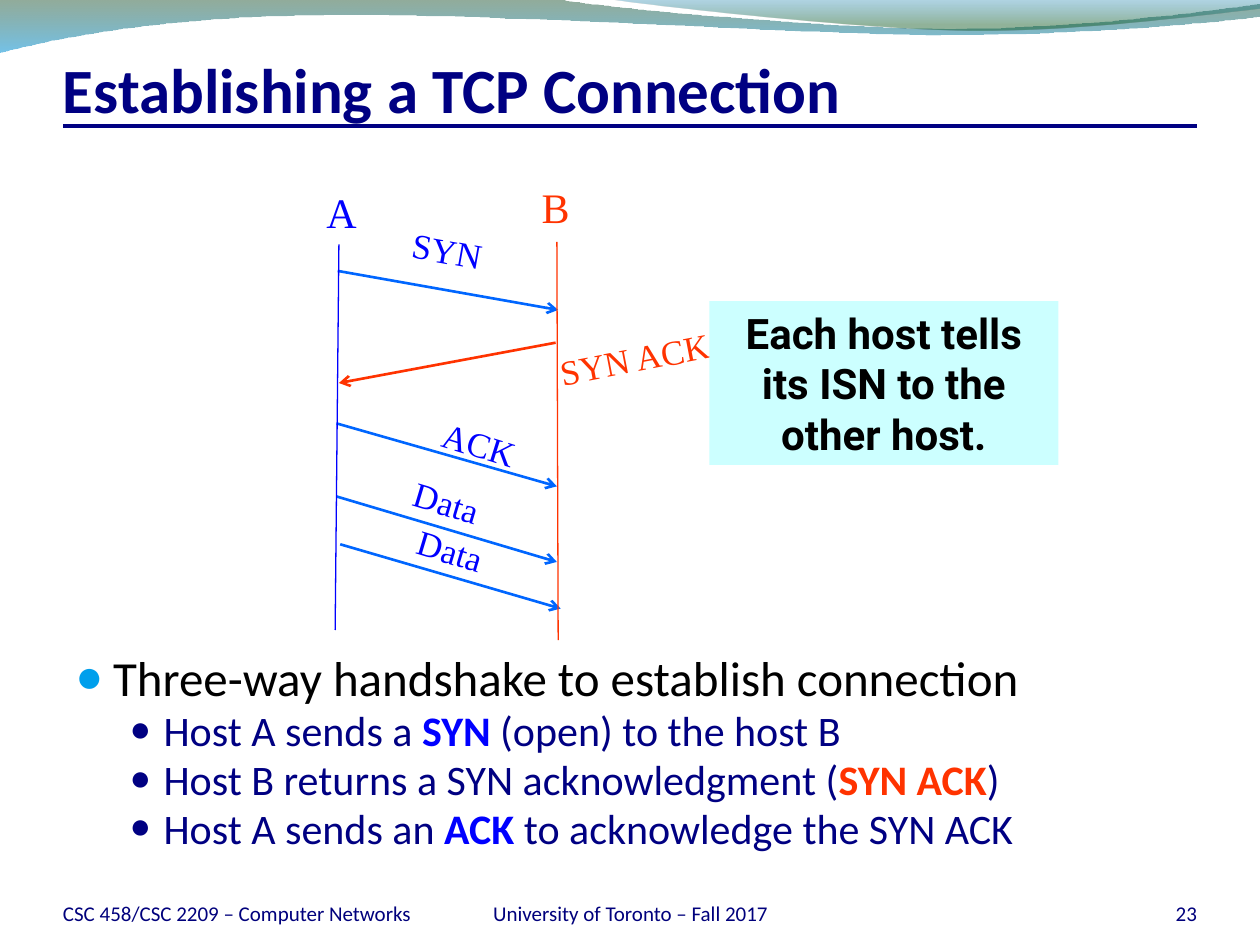
from dataclasses import dataclass

from pptx import Presentation
from pptx.dml.color import RGBColor
from pptx.enum.shapes import MSO_CONNECTOR, MSO_SHAPE
from pptx.enum.text import MSO_ANCHOR, PP_ALIGN
from pptx.oxml import parse_xml
from pptx.oxml.ns import nsdecls, qn
from pptx.util import Inches, Pt

STRAIGHT = MSO_CONNECTOR.STRAIGHT
RECTANGLE = MSO_SHAPE.RECTANGLE
LEFT, CENTER, RIGHT = PP_ALIGN.LEFT, PP_ALIGN.CENTER, PP_ALIGN.RIGHT
TOP, MIDDLE, BOTTOM = MSO_ANCHOR.TOP, MSO_ANCHOR.MIDDLE, MSO_ANCHOR.BOTTOM

SANS, SERIF, CALLOUT_FONT = "Calibri", "Times New Roman", "Roboto"
COLORS = {
    "navy": "000082", "footer": "00007C", "black": "000000",
    "host_a": "0000FF", "host_b": "FF3300", "message": "0066FF",
    "bullet": "009FEC", "callout": "CCFFFF",
    "wave_green": "0F461E", "wave_sky": "0090D6",
    "wave_blue": "0076AF", "wave_leaf": "0D5821",
}
DEFAULT_INSETS = (0.1, 0.05, 0.1, 0.05)


@dataclass
class Wave:
    """Outline steps hold one point for a line, three for a Bezier curve."""
    start: tuple
    steps: list
    stops: list  # (position %, colour, opacity %)


@dataclass
class Line:
    start: tuple
    end: tuple
    color: str
    width: float
    arrow: bool = False


@dataclass
class Label:
    text: str
    box: tuple
    color: str
    size: int
    font: str = SANS
    bold: bool = False
    align: PP_ALIGN = CENTER
    anchor: MSO_ANCHOR = MIDDLE
    insets: tuple = DEFAULT_INSETS
    rotation: float = 0
    wrap: bool = False


@dataclass
class BulletStyle:
    level: int
    size: int
    color: str
    bullet_color: str
    bullet_percent: int
    margin: float
    hanging: float


WAVES = [
    Wave((0, -0.01), [
        [(4.4, -0.01)],
        [(4.76, 0.06), (6.64, 0.23), (7.58, 0.23)],
        [(8.53, 0.23), (9.58, 0.09), (10, 0.03)],
        [(10.01, 0.13)],
        [(9.83, 0.16), (8.7, 0.28), (7.46, 0.28)],
        [(6.22, 0.27), (3.82, 0.1), (2.57, 0.12)],
        [(1.29, 0.13), (0.46, 0.3), (-0.01, 0.42)],
        [(0, -0.01)],
    ], [(0, "wave_green", 45), (100, "wave_sky", 55)]),
    Wave((4.79, -0.01), [
        [(5.09, 0.04), (6.82, 0.23), (7.69, 0.24)],
        [(8.56, 0.25), (9.61, 0.11), (10, 0.07)],
        [(10, -0.01)],
        [(4.79, -0.01)],
    ], [(0, "wave_blue", 30), (80, "wave_leaf", 45)]),
]

LINES = [
    Line((0.5, 1), (9.5, 1), "navy", 2.25),
    Line((2.68, 2.15), (4.43, 2.46), "message", 1.5, True),
    Line((4.41, 2.72), (2.69, 3.04), "host_b", 1.5, True),
    Line((2.67, 3.36), (4.42, 3.86), "message", 1.5, True),
    Line((2.67, 3.94), (4.42, 4.46), "message", 1.5, True),
    Line((2.7, 4.32), (4.45, 4.83), "message", 1.5, True),
    Line((4.42, 1.92), (4.43, 5.08), "host_b", 0.75),
    Line((2.69, 1.94), (2.66, 5), "host_a", 0.75),
]

FOOTERS = [
    ("CSC 458/CSC 2209 – Computer Networks", 0.5, 2.83, LEFT),
    ("University of Toronto – Fall 2017", 3.42, 3.17, CENTER),
    ("23", 8.67, 0.83, RIGHT),
]
LABELS = [
    Label("Establishing a TCP Connection", (0.5, 0.33, 9, 0.67), "navy", 36, bold=True,
          align=LEFT, anchor=BOTTOM, insets=(0, 0.05, 0, 0), wrap=True),
    Label("A", (2.49, 1.43, 0.44, 0.5), "host_a", 24, SERIF),
    Label("B", (4.2, 1.39, 0.42, 0.5), "host_b", 24, SERIF),
    Label("SYN", (3.17, 1.77, 0.76, 0.43), "host_a", 20, SERIF, rotation=10.1),
    Label("SYN ACK", (4.32, 2.63, 1.43, 0.43), "host_b", 20, SERIF, rotation=-10.9),
    Label("ACK", (3.41, 3.31, 0.79, 0.43), "host_a", 20, SERIF, rotation=17.4),
    Label("Data", (3.18, 3.77, 0.73, 0.43), "host_a", 20, SERIF, rotation=16.7),
    Label("Data", (3.21, 4.15, 0.73, 0.43), "host_a", 20, SERIF, rotation=16.7),
] + [
    Label(text, (left, 6.95, width, 0.4), "footer", 12, align=align, anchor=BOTTOM,
          insets=(0, 0, 0, 0), wrap=True)
    for text, left, width, align in FOOTERS
]
CALLOUT = Label("Each host tells its ISN to the other host.", (5.63, 2.39, 2.77, 1.3),
                "black", 24, CALLOUT_FONT, bold=True, wrap=True)

MAIN = BulletStyle(0, 28, "black", "bullet", 95, 0.3, 0.3)
SUB = BulletStyle(1, 24, "navy", "navy", 85, 0.7, 0.27)
# Each run is its text and, for a highlighted word, its colour.
BULLETS = [
    (MAIN, [("Three-way handshake to establish connection", None)]),
    (SUB, [("Host A sends a ", None), ("SYN", "host_a"), (" (open) to the host B", None)]),
    (SUB, [("Host B returns a SYN acknowledgment (", None), ("SYN ACK", "host_b"), (")", None)]),
    (SUB, [("Host A sends an ", None), ("ACK", "host_a"),
           (" to acknowledge the SYN ACK", None)]),
]


def rgb(name: str) -> RGBColor:
    return RGBColor.from_string(COLORS[name])


def set_attributes(target, values: dict) -> None:
    for name, value in values.items():
        setattr(target, name, value)


def drawing_xml(tag: str, attributes: str = "", content: str = ""):
    return parse_xml(f'<a:{tag} {nsdecls("a")} {attributes}>{content}</a:{tag}>')


def add_run(paragraph, text: str, font: str, size: int, color: str, bold: bool) -> None:
    run = paragraph.add_run()
    run.text = text
    set_attributes(run.font, {"name": font, "size": Pt(size), "bold": bold})
    run.font.color.rgb = rgb(color)


def format_frame(frame, anchor: MSO_ANCHOR, insets: tuple, wrap: bool) -> None:
    sides = ("margin_left", "margin_top", "margin_right", "margin_bottom")
    set_attributes(frame, {"vertical_anchor": anchor, "word_wrap": wrap,
                           **dict(zip(sides, map(Inches, insets)))})


def add_wave(slide, wave: Wave) -> None:
    """Build the outline from its corners, then bend the curved segments."""
    corners = [(Inches(x), Inches(y)) for x, y in [wave.start] + [s[-1] for s in wave.steps]]
    builder = slide.shapes.build_freeform(*corners[0])
    builder.add_line_segments(corners[1:], close=True)
    shape = builder.convert_to_shape()
    segments = list(shape._element.iter(qn("a:lnTo")))
    for segment, step in zip(segments, wave.steps):
        if len(step) == 3:
            points = "".join(f'<a:pt x="{Inches(x) - shape.left}" y="{Inches(y) - shape.top}"/>'
                             for x, y in step)
            segment.getparent().replace(segment, drawing_xml("cubicBezTo", content=points))
    shape.shadow.inherit = False
    shape.line.fill.background()
    stops = "".join(
        f'<a:gs pos="{position * 1000}"><a:srgbClr val="{COLORS[color]}">'
        f'<a:alpha val="{opacity * 1000}"/></a:srgbClr></a:gs>'
        for position, color, opacity in wave.stops)
    shape.line._get_or_add_ln().addprevious(drawing_xml(
        "gradFill", content=f'<a:gsLst>{stops}</a:gsLst><a:lin ang="5400000" scaled="1"/>'))


def add_line(slide, line: Line) -> None:
    connector = slide.shapes.add_connector(STRAIGHT, *map(Inches, line.start + line.end))
    connector.line.color.rgb = rgb(line.color)
    connector.line.width = Pt(line.width)
    if line.arrow:
        connector.line._get_or_add_ln().append(drawing_xml("tailEnd", 'type="arrow"'))
    connector._element.spPr.append(drawing_xml("effectLst"))


def write_label(shape, label: Label) -> None:
    shape.rotation = label.rotation
    format_frame(shape.text_frame, label.anchor, label.insets, label.wrap)
    paragraph = shape.text_frame.paragraphs[0]
    paragraph.alignment = label.align
    add_run(paragraph, label.text, label.font, label.size, label.color, label.bold)


def add_callout(slide, label: Label) -> None:
    shape = slide.shapes.add_shape(RECTANGLE, *map(Inches, label.box))
    shape.shadow.inherit = False
    shape.fill.solid()
    shape.fill.fore_color.rgb = rgb("callout")
    shape.line.fill.background()
    write_label(shape, label)


def add_bullets(slide, box: tuple, bullets: list) -> None:
    frame = slide.shapes.add_textbox(*map(Inches, box)).text_frame
    format_frame(frame, TOP, DEFAULT_INSETS, True)
    for index, (style, runs) in enumerate(bullets):
        paragraph = frame.add_paragraph() if index else frame.paragraphs[0]
        set_attributes(paragraph, {"level": style.level, "line_spacing": 0.8})
        properties = paragraph._p.get_or_add_pPr()
        properties.set("marL", str(Inches(style.margin)))
        properties.set("indent", str(-Inches(style.hanging)))
        properties.extend([
            drawing_xml("spcBef", content='<a:spcPct val="20000"/>'),
            drawing_xml("buClr", content=f'<a:srgbClr val="{COLORS[style.bullet_color]}"/>'),
            drawing_xml("buSzPct", f'val="{style.bullet_percent * 1000}"'),
            drawing_xml("buFont", f'typeface="{SERIF}"'),
            drawing_xml("buChar", 'char="●"'),
        ])
        for text, highlight in runs:
            add_run(paragraph, text, SANS, style.size, highlight or style.color, bool(highlight))


def main() -> None:
    presentation = Presentation()
    set_attributes(presentation, {"slide_width": Inches(10), "slide_height": Inches(7.5)})
    slide = presentation.slides.add_slide(presentation.slide_layouts[6])
    for wave in WAVES:
        add_wave(slide, wave)
    for line in LINES:
        add_line(slide, line)
    for label in LABELS:
        write_label(slide.shapes.add_textbox(*map(Inches, label.box)), label)
    add_bullets(slide, (0.5, 5.18, 9, 1.82), BULLETS)
    add_callout(slide, CALLOUT)
    presentation.save("out.pptx")


if __name__ == "__main__":
    main()
